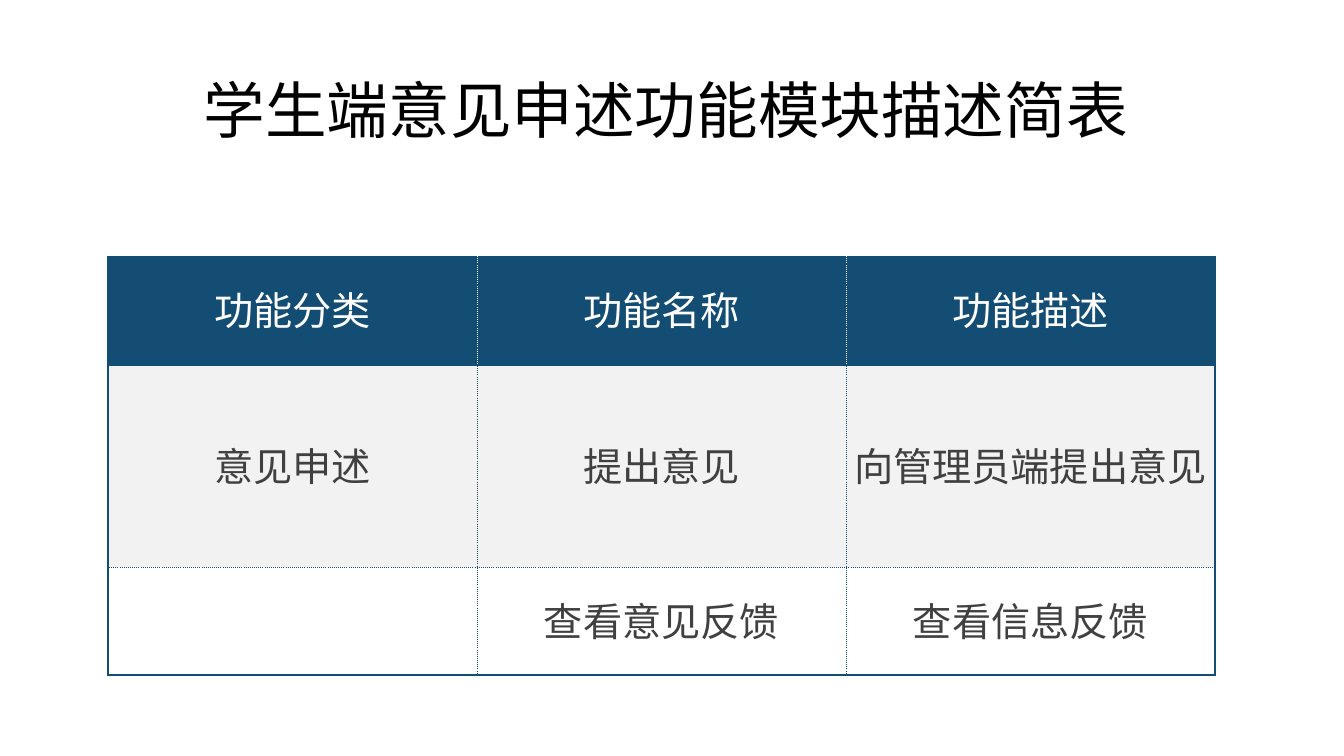
import pptx
import pptx.dml.color
import pptx.enum.text
import pptx.oxml
import pptx.oxml.ns
import pptx.util

EMU_PER_PX = 9144
FONT = "Arial"
COLORS = {
    "black": "000000",
    "white": "FFFFFF",
    "navy": "144D73",
    "band": "F2F2F2",
    "body": "404040",
}
ROWS = [
    ["功能分类", "功能名称", "功能描述"],
    ["意见申述", "提出意见", "向管理员端提出意见"],
    ["", "查看意见反馈", "查看信息反馈"],
]
ROW_HEIGHTS = [107, 201, 107]
ROW_FILLS = ["navy", "band", "white"]
COLUMN_WIDTH = 366


def px(length):
    return pptx.util.Emu(length * EMU_PER_PX)


def rgb(name):
    return pptx.dml.color.RGBColor.from_string(COLORS[name])


def add_run(paragraph, text, size, color):
    run = paragraph.add_run()
    run.text = text
    run.font.name = FONT
    run.font.size = pptx.util.Pt(size)
    run.font.color.rgb = rgb(color)


def add_title(slide, text):
    shape = slide.shapes.add_textbox(px(92), px(40), px(1150), px(145))
    frame = shape.text_frame
    frame.word_wrap = True
    frame.margin_left = px(110)
    frame.vertical_anchor = pptx.enum.text.MSO_ANCHOR.MIDDLE
    paragraph = frame.paragraphs[0]
    paragraph.line_spacing = 0.9
    add_run(paragraph, text, 44, "black")


def add_border(cell, side, color, dotted):
    """Draw one side (L, R, T or B): thin dots inside, a solid line outside."""
    width = pptx.util.Pt(0.25 if dotted else 1.5)
    dash = "dot" if dotted else "solid"
    cell._tc.get_or_add_tcPr().append(pptx.oxml.parse_xml(
        f'<a:ln{side} {pptx.oxml.ns.nsdecls("a")} w="{width}">'
        f'<a:solidFill><a:srgbClr val="{COLORS[color]}"/></a:solidFill>'
        f'<a:prstDash val="{dash}"/></a:ln{side}>'))


def style_cell(cell, row, column):
    last_row, last_column = len(ROWS) - 1, len(ROWS[0]) - 1
    divider = "white" if row == 0 else "navy"
    dotted_sides = {
        "L": column > 0,
        "R": column < last_column,
        "T": row > 1,
        "B": 0 < row < last_row,
    }
    for side, dotted in dotted_sides.items():
        add_border(cell, side, divider if dotted else "navy", dotted)
    cell.fill.solid()
    cell.fill.fore_color.rgb = rgb(ROW_FILLS[row])
    cell.vertical_anchor = pptx.enum.text.MSO_ANCHOR.MIDDLE
    cell.margin_left = cell.margin_right = cell.margin_top = px(1)
    cell.margin_bottom = px(5)


def add_function_table(slide):
    column_count = len(ROWS[0])
    table = slide.shapes.add_table(
        len(ROWS), column_count, px(107), px(255),
        px(COLUMN_WIDTH * column_count), px(sum(ROW_HEIGHTS))).table
    table.first_row = False
    table.horz_banding = False
    for column in table.columns:
        column.width = px(COLUMN_WIDTH)
    for row, texts in enumerate(ROWS):
        table.rows[row].height = px(ROW_HEIGHTS[row])
        for column, text in enumerate(texts):
            cell = table.cell(row, column)
            style_cell(cell, row, column)
            if text:
                paragraph = cell.text_frame.paragraphs[0]
                paragraph.alignment = pptx.enum.text.PP_ALIGN.CENTER
                add_run(paragraph, text, 28, "white" if row == 0 else "body")


def main():
    presentation = pptx.Presentation()
    presentation.slide_width = px(1333)
    presentation.slide_height = px(750)
    slide = presentation.slides.add_slide(presentation.slide_layouts[6])
    add_title(slide, "学生端意见申述功能模块描述简表")
    add_function_table(slide)
    presentation.save("out.pptx")


if __name__ == "__main__":
    main()
